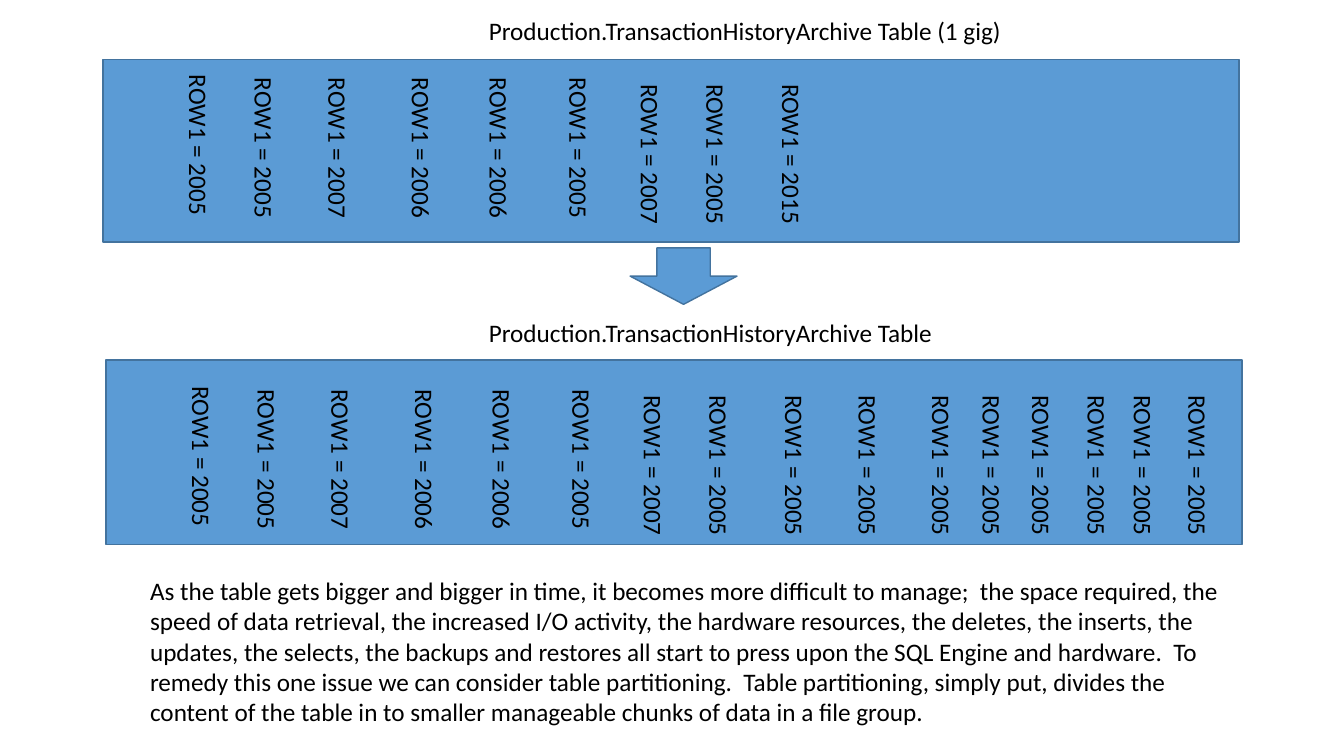
from pptx import Presentation
from pptx.dml.color import RGBColor
from pptx.enum.shapes import MSO_SHAPE
from pptx.enum.text import MSO_AUTO_SIZE
from pptx.util import Emu, Pt

PX = 9144
BLUE = RGBColor(0x5B, 0x9B, 0xD5)
EDGE = RGBColor(0x43, 0x73, 0x9E)
BLACK = RGBColor(0, 0, 0)

TITLE = "Production.TransactionHistoryArchive Table"
NOTE = (
    "As the table gets bigger and bigger in time, it becomes more difficult to manage;  "
    "the space required, the speed of data retrieval, the increased I/O activity, "
    "the hardware resources, the deletes, the inserts, the updates, the selects, "
    "the backups and restores all start to press upon the SQL Engine and hardware.  "
    "To remedy this one issue we can consider table partitioning.  "
    "Table partitioning, simply put, divides the content of the table in to smaller "
    "manageable chunks of data in a file group."
)

FIRST = [
    (115, 126, 2005), (180, 129, 2005), (253, 129, 2007),
    (336, 129, 2006), (413, 129, 2006), (492, 129, 2005),
    (563, 135, 2007), (628, 135, 2005),
]
LAST = (703, 135, 2015)
MORE = [(x, 135, 2005) for x in (703, 776, 849, 899, 948, 1003, 1049, 1103)]


def scale(*nums):
    return [Emu(num * PX) for num in nums]


def add_block(slide, kind, *box):
    block = slide.shapes.add_shape(kind, *scale(*box))
    block.shadow.inherit = False
    block.fill.solid()
    block.fill.fore_color.rgb = BLUE
    block.line.color.rgb = EDGE
    block.line.width = Pt(1)


def add_label(slide, text, *box, turn=0):
    label = slide.shapes.add_textbox(*scale(*box))
    label.rotation = turn
    frame = label.text_frame
    frame.word_wrap = True
    frame.auto_size = MSO_AUTO_SIZE.SHAPE_TO_FIT_TEXT
    frame.text = text
    font = frame.paragraphs[0].runs[0].font
    font.name = "Calibri"
    font.size = Pt(18)
    font.color.rgb = BLACK


def add_rows(slide, rows, right=0, down=0):
    for left, top, year in rows:
        add_label(slide, f"ROW1 = {year}", left + right, top + down, 164, 41, turn=90)


def main():
    deck = Presentation()
    deck.slide_width, deck.slide_height = scale(1333, 750)
    slide = deck.slides.add_slide(deck.slide_layouts[6])

    add_block(slide, MSO_SHAPE.RECTANGLE, 102, 59, 1127, 181)
    add_label(slide, TITLE + " (1 gig)", 475, 10, 537, 40)
    add_rows(slide, FIRST + [LAST])

    add_block(slide, MSO_SHAPE.RECTANGLE, 105, 357, 1127, 183)
    add_label(slide, TITLE, 475, 310, 546, 40)
    add_rows(slide, FIRST + MORE, right=3, down=309)

    add_block(slide, MSO_SHAPE.DOWN_ARROW, 625, 246, 106, 56)
    add_label(slide, NOTE, 139, 566, 1080, 162)
    deck.save("out.pptx")


if __name__ == "__main__":
    main()
